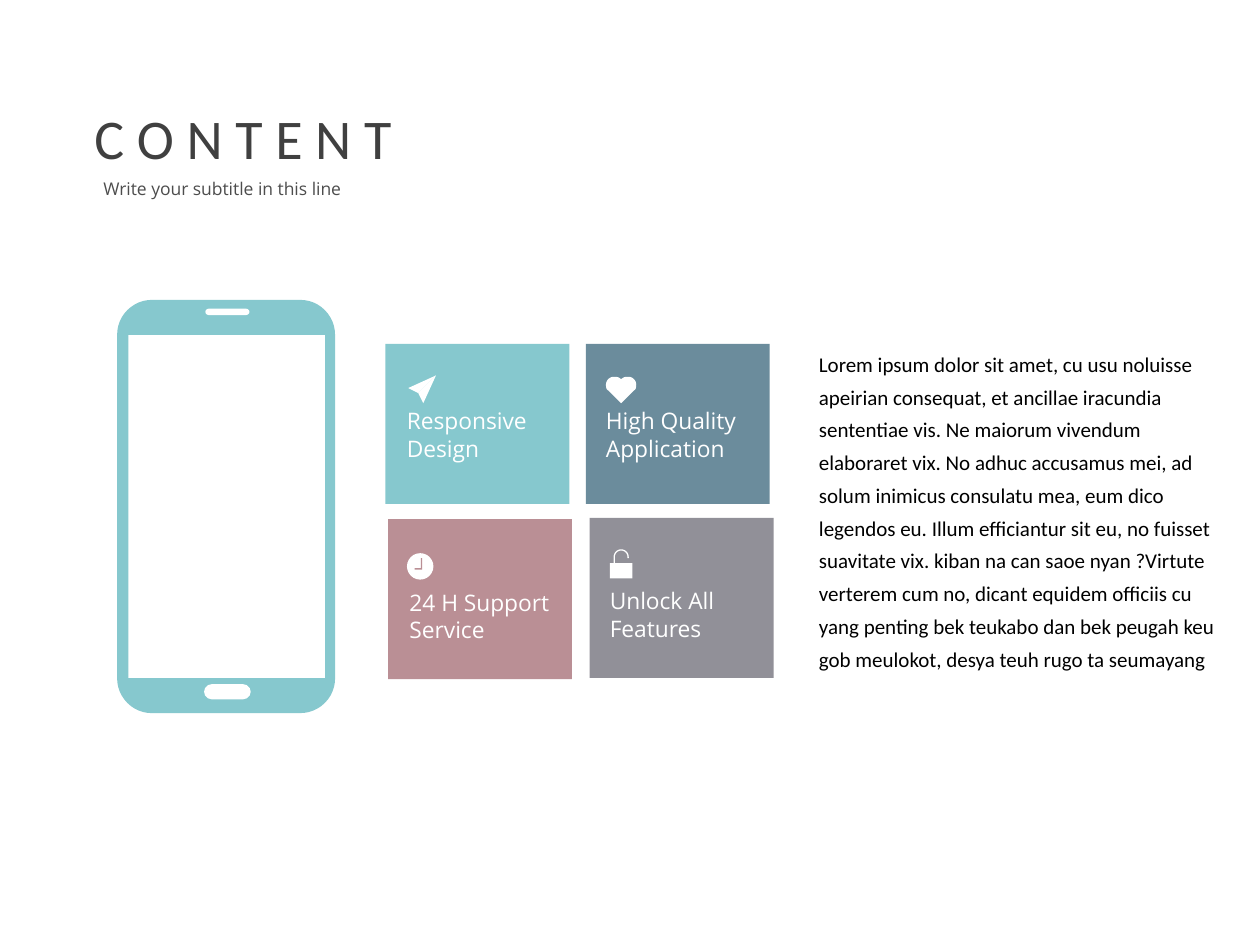
import math
import pptx
import pptx.dml.color
import pptx.enum.shapes
import pptx.enum.text
import pptx.util

Inches = pptx.util.Inches
SHAPE = pptx.enum.shapes.MSO_SHAPE
WHITE, TEAL, BLUE, ROSE, GREY = "FFFFFF", "86C8CE", "6B8C9C", "BA8F95", "919098"
BODY = (
    "Lorem ipsum dolor sit amet, cu usu noluisse apeirian consequat, et ancillae "
    "iracundia sententiae vis. Ne maiorum vivendum elaboraret vix. No adhuc accusamus "
    "mei, ad solum inimicus consulatu mea, eum dico legendos eu. Illum efficiantur sit "
    "eu, no fuisset suavitate vix. kiban na can saoe nyan ?Virtute verterem cum no, "
    "dicant equidem officiis cu yang penting bek teukabo dan bek peugah keu gob "
    "meulokot, desya teuh rugo ta seumayang"
)


def rgb(color):
    return pptx.dml.color.RGBColor.from_string(color)


def paint(sp, color):
    sp.shadow.inherit = False
    sp.fill.solid()
    sp.fill.fore_color.rgb = rgb(color)
    sp.line.fill.background()
    return sp


def add_shape(s, kind, box, color, radius=None):
    sp = paint(s.shapes.add_shape(kind, *map(Inches, box)), color)
    if radius is not None:
        sp.adjustments[0] = radius
    return sp


def add_outline(s, x, y, points, color=WHITE):
    pts = [(Inches(x + dx), Inches(y + dy)) for dx, dy in points]
    fb = s.shapes.build_freeform(*pts[0])
    fb.add_line_segments(pts[1:], close=True)
    return paint(fb.convert_to_shape(), color)


def add_text(s, box, text, size, color, font="Open Sans", wrap=True, inset=0, spacing=None):
    tf = s.shapes.add_textbox(*map(Inches, box)).text_frame
    tf.word_wrap = wrap
    if inset is not None:
        tf.margin_left = tf.margin_right = tf.margin_top = tf.margin_bottom = Inches(inset)
    if not wrap:
        tf.auto_size = pptx.enum.text.MSO_AUTO_SIZE.SHAPE_TO_FIT_TEXT
    for i, line in enumerate(text.split("\n")):
        p = tf.paragraphs[0] if i == 0 else tf.add_paragraph()
        if spacing:
            p.line_spacing = spacing
        r = p.add_run()
        r.text = line
        r.font.size = pptx.util.Pt(size)
        r.font.name = font
        r.font.color.rgb = rgb(color)


def bezier(a, b, c, d, steps=10):
    points = []
    for i in range(steps + 1):
        t = i / steps
        weights = ((1 - t) ** 3, 3 * t * (1 - t) ** 2, 3 * t * t * (1 - t), t ** 3)
        points.append(tuple(sum(w * q[k] for w, q in zip(weights, (a, b, c, d)))
                            for k in (0, 1)))
    return points


def arc(cx, cy, radius, start, end, steps=16):
    angles = [math.radians(start + (end - start) * i / steps) for i in range(steps + 1)]
    return [(cx + radius * math.cos(a), cy - radius * math.sin(a)) for a in angles]


def draw_plane(s, x, y, color):
    add_outline(s, x, y, [(0.22, 0), (0, 0.1), (0.08, 0.14)])
    add_outline(s, x, y, [(0.08, 0.14), (0.12, 0.22), (0.22, 0)])


def draw_heart(s, x, y, color):
    half = (bezier((0.12, 0.02), (0.1, 0), (0.08, 0), (0.06, 0))
            + bezier((0.06, 0), (0.03, 0), (0, 0.03), (0, 0.06))
            + bezier((0, 0.06), (0, 0.08), (0, 0.1), (0.02, 0.11))
            + [(0.12, 0.21)])
    add_outline(s, x, y, half + [(0.24 - px, py) for px, py in reversed(half)])


def draw_lock(s, x, y, color):
    add_shape(s, SHAPE.RECTANGLE, (x, y + 0.11, 0.18, 0.12), WHITE)
    shackle = ([(0.03, 0.11)] + arc(0.09, 0.06, 0.06, 180, 0) + [(0.15, 0.07), (0.14, 0.07)]
               + arc(0.09, 0.06, 0.05, 0, 180) + [(0.04, 0.11)])
    add_outline(s, x, y, shackle)


def draw_clock(s, x, y, color):
    add_shape(s, SHAPE.OVAL, (x, y, 0.21, 0.21), WHITE)
    hands = [(0.11, 0.04), (0.12, 0.04), (0.12, 0.13), (0.06, 0.13), (0.06, 0.12), (0.11, 0.12)]
    add_outline(s, x, y, hands, color)


def draw_heading(s, x, y):
    add_text(s, (x, y, 2.59, 0.64), "C O N T E N T", 32, "404040", "Calibri",
             wrap=False, inset=None)
    add_text(s, (x + 0.17, y + 0.64, 2.09, 0.23), "Write your subtitle in this line",
             10, "4D4D4D")


def draw_tile(s, x, y, color, draw_icon, icon_at, label, label_at):
    add_shape(s, SHAPE.RECTANGLE, (x, y, 1.46, 1.27), color)
    draw_icon(s, x + icon_at[0], y + icon_at[1], color)
    add_text(s, (x + label_at[0], y + label_at[1], 1.13, 0.5), label, 13, WHITE)


def draw_phone(s, x, y, w, h):
    add_shape(s, SHAPE.ROUNDED_RECTANGLE, (x, y, w, h), TEAL, 0.16)
    add_shape(s, SHAPE.RECTANGLE, (x + 0.09, y + 0.28, w - 0.17, h - 0.56), WHITE)
    for width, height, top in ((0.35, 0.05, 0.07), (0.37, 0.12, h - 0.23)):
        box = (x + (w - width) / 2 + 0.01, y + top, width, height)
        add_shape(s, SHAPE.ROUNDED_RECTANGLE, box, WHITE, 0.5)


def main():
    prs = pptx.Presentation()
    prs.slide_width, prs.slide_height = Inches(10), Inches(7.5)
    s = prs.slides.add_slide(prs.slide_layouts[6])
    draw_heading(s, 0.65, 0.77)
    tiles = (
        (4.65, 2.73, BLUE, draw_heart, (0.16, 0.26), "High Quality\nApplication", (0.16, 0.5)),
        (3.06, 2.73, TEAL, draw_plane, (0.18, 0.25), "Responsive\nDesign", (0.17, 0.5)),
        (4.68, 4.11, GREY, draw_lock, (0.16, 0.25), "Unlock All\nFeatures", (0.16, 0.55)),
        (3.08, 4.12, ROSE, draw_clock, (0.15, 0.27), "24 H Support Service", (0.17, 0.55)),
    )
    for tile in tiles:
        draw_tile(s, *tile)
    add_text(s, (6.5, 2.73, 3.2, 1.63), BODY, 12, "000000", "Calibri", spacing=1.3)
    draw_phone(s, 0.93, 2.38, 1.73, 3.28)
    prs.save("out.pptx")


if __name__ == "__main__":
    main()
